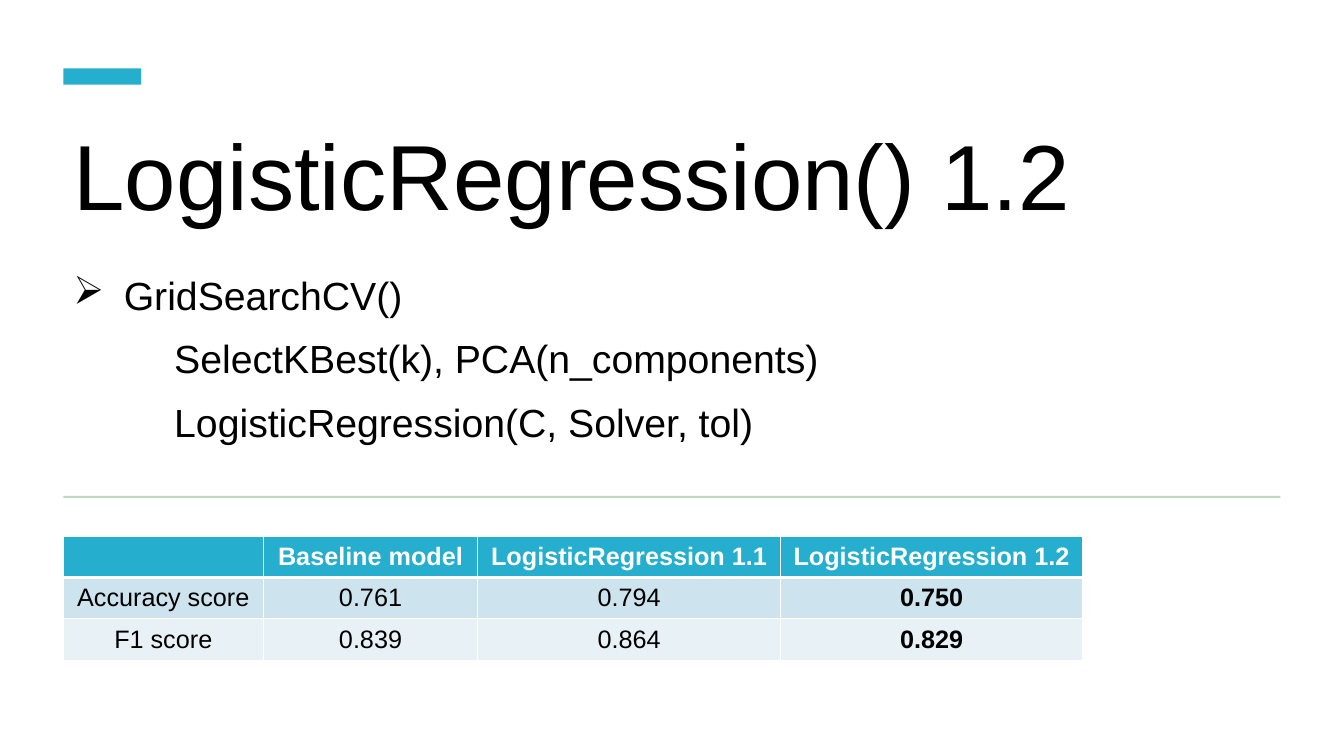
import pptx
import pptx.dml.color
import pptx.enum.shapes
import pptx.enum.text
import pptx.oxml
import pptx.oxml.ns
import pptx.util
from pptx.util import Inches

PP_ALIGN = pptx.enum.text.PP_ALIGN
ANCHOR = pptx.enum.text.MSO_ANCHOR
LEFT, CONTENT_WIDTH = 0.63, 12.07
BLACK, WHITE, ACCENT = "000000", "FFFFFF", "25AECE"


def color(hex_string):
    return pptx.dml.color.RGBColor.from_string(hex_string)


def add_run(paragraph, text, size, hex_string=BLACK, bold=False):
    run = paragraph.add_run()
    run.text = text
    run.font.name = "Arial"
    run.font.size = pptx.util.Pt(size)
    run.font.bold = bold
    run.font.color.rgb = color(hex_string)


presentation = pptx.Presentation()
presentation.slide_width = Inches(13.33)
presentation.slide_height = Inches(7.5)
slide = presentation.slides.add_slide(presentation.slide_layouts[6])

# Accent bar and divider
for top, width, height, fill in [
    (0.68, 0.77, 0.16, ACCENT),
    (4.92, CONTENT_WIDTH, 0.02, "BFDABE"),
]:
    band = slide.shapes.add_shape(
        pptx.enum.shapes.MSO_SHAPE.RECTANGLE,
        Inches(LEFT), Inches(top), Inches(width), Inches(height))
    band.shadow.inherit = False
    band.fill.solid()
    band.fill.fore_color.rgb = color(fill)
    band.line.fill.background()

# Title
title = slide.shapes.add_textbox(
    Inches(LEFT), Inches(1.23), Inches(CONTENT_WIDTH), Inches(1.11)).text_frame
title.word_wrap = True
title.vertical_anchor = ANCHOR.BOTTOM
title.paragraphs[0].line_spacing = 0.9
add_run(title.paragraphs[0], "LogisticRegression() 1.2", 66)

# Search steps: a bulleted heading with indented lines below it
steps = slide.shapes.add_textbox(
    Inches(LEFT), Inches(2.62), Inches(CONTENT_WIDTH), Inches(2.1)).text_frame
steps.word_wrap = True
for index, (text, margin, hanging, bullet) in enumerate([
    ("GridSearchCV()", 0.5, -0.5, "➢"),
    ("SelectKBest(k), PCA(n_components)", 1, 0, None),
    ("LogisticRegression(C, Solver, tol)", 1, 0, None),
]):
    step = steps.add_paragraph() if index else steps.paragraphs[0]
    step.space_before = pptx.util.Pt(10)
    step.line_spacing = 1.05
    add_run(step, text, 28)
    properties = step._p.get_or_add_pPr()
    properties.set("marL", str(Inches(margin)))
    properties.set("indent", str(Inches(hanging)))
    if bullet:
        mark = pptx.oxml.parse_xml(
            f'<a:buChar {pptx.oxml.ns.nsdecls("a")} char="{bullet}"/>')
        properties.append(mark)

# Score table
scores = [
    ["", "Baseline model", "LogisticRegression 1.1", "LogisticRegression 1.2"],
    ["Accuracy score", "0.761", "0.794", "0.750"],
    ["F1 score", "0.839", "0.864", "0.829"],
]
column_widths = [1.98, 2.13, 3, 3]
row_fills = [ACCENT, "CDE3ED", "E8F2F6"]
row_height = 0.41
table = slide.shapes.add_table(
    len(scores), len(column_widths), Inches(LEFT), Inches(5.32),
    Inches(sum(column_widths)), Inches(row_height * len(scores))).table
for column, width in zip(table.columns, column_widths):
    column.width = Inches(width)

for row_index, values in enumerate(scores):
    table.rows[row_index].height = Inches(row_height)
    is_header = row_index == 0
    for column_index, value in enumerate(values):
        cell = table.cell(row_index, column_index)
        cell.vertical_anchor = ANCHOR.MIDDLE
        cell.fill.solid()
        cell.fill.fore_color.rgb = color(row_fills[row_index])
        paragraph = cell.text_frame.paragraphs[0]
        paragraph.alignment = PP_ALIGN.CENTER
        if value:
            is_best_column = column_index == len(values) - 1
            add_run(paragraph, value, 18, WHITE if is_header else BLACK,
                    is_header or is_best_column)
        border_widths = {"L": 1, "R": 1,
                         "T": 3 if row_index == 1 else 1,
                         "B": 3 if is_header else 1}
        for position, (side, points) in enumerate(border_widths.items()):
            border = pptx.oxml.parse_xml(
                f'<a:ln{side} {pptx.oxml.ns.nsdecls("a")} w="{pptx.util.Pt(points)}">'
                f'<a:solidFill><a:srgbClr val="{WHITE}"/></a:solidFill></a:ln{side}>')
            cell._tc.get_or_add_tcPr().insert(position, border)

presentation.save("out.pptx")
